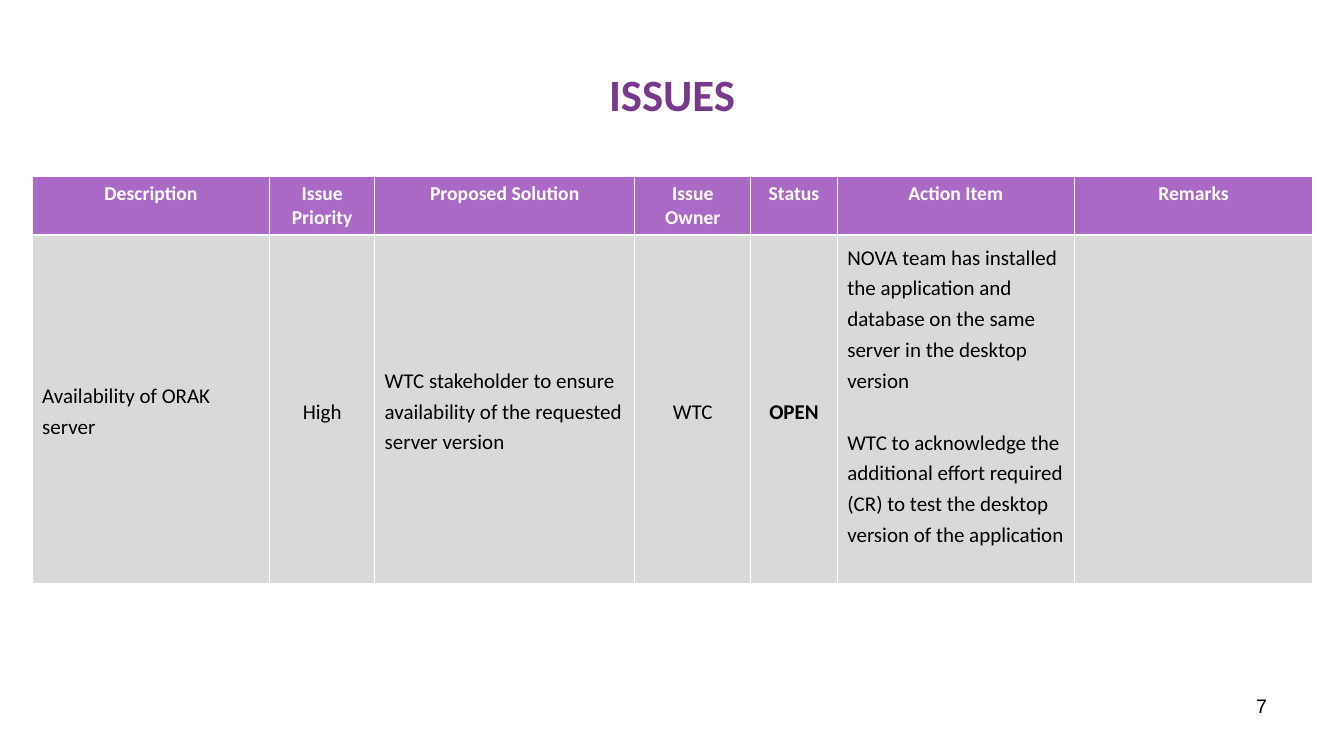
from lxml import etree
from pptx import Presentation
from pptx import util as u
from pptx.dml.color import RGBColor
from pptx.enum import text
from pptx.oxml.ns import qn

Cm, Pt = u.Cm, u.Pt
LEFT, CENTER, RIGHT = text.PP_ALIGN.LEFT, text.PP_ALIGN.CENTER, text.PP_ALIGN.RIGHT
TOP, MIDDLE = text.MSO_ANCHOR.TOP, text.MSO_ANCHOR.MIDDLE

# Content: heading, width in cm, alignment, anchor, bold, paragraphs
title = "ISSUES"
page_number = "7"
issue_fields = [
    ("Description", 5.99, LEFT, MIDDLE, False, ["Availability of ORAK server"]),
    ("Issue Priority", 2.64, CENTER, MIDDLE, False, ["High"]),
    ("Proposed Solution", 6.56, LEFT, MIDDLE, False,
     ["WTC stakeholder to ensure availability of the requested server version"]),
    ("Issue Owner", 2.92, CENTER, MIDDLE, False, ["WTC"]),
    ("Status", 2.18, CENTER, MIDDLE, True, ["OPEN"]),
    ("Action Item", 5.97, LEFT, TOP, False,
     ["NOVA team has installed the application and database on the same "
      "server in the desktop version",
      "WTC to acknowledge the additional effort required (CR) to test the "
      "desktop version of the application"]),
    ("Remarks", 6.02, LEFT, MIDDLE, False, []),
]

theme = {
    "font": "Calibri", "number_font": "Arial",
    "title": "78398D", "header": "A969C4", "body": "D9D9D9",
    "white": "FFFFFF", "black": "000000",
    "title_size": 32, "header_size": 14, "body_size": 15, "number_size": 14,
    "line_spacing": 1.2, "paragraph_gap": 22,
}


def write(frame, paragraphs, size, color, align, bold=False, font=theme["font"],
          spacing=None):
    for i, words in enumerate(paragraphs):
        para = frame.paragraphs[0] if i == 0 else frame.add_paragraph()
        para.alignment = align
        para.line_spacing = spacing
        if i:
            para.space_before = Pt(theme["paragraph_gap"])
        run = para.add_run()
        run.text = words
        run.font.name, run.font.size, run.font.bold = font, Pt(size), bold
        run.font.color.rgb = RGBColor.from_string(color)


def label(slide, box, words, anchor, *style, **options):
    frame = slide.shapes.add_textbox(*(Cm(v) for v in box)).text_frame
    frame.word_wrap = True
    frame.vertical_anchor = anchor
    write(frame, [words], *style, **options)


def paint(cell, fill):
    props = cell._tc.get_or_add_tcPr()
    for side in ("a:lnL", "a:lnR", "a:lnT", "a:lnB"):
        line = etree.SubElement(props, qn(side), w=str(Pt(1)))
        solid = etree.SubElement(line, qn("a:solidFill"))
        etree.SubElement(solid, qn("a:srgbClr"), val=theme["white"])
    cell.fill.solid()
    cell.fill.fore_color.rgb = RGBColor.from_string(fill)


deck = Presentation()
deck.slide_width, deck.slide_height = Cm(33.87), Cm(19.05)
slide = deck.slides.add_slide(deck.slide_layouts[6])

# Title and page number
label(slide, (1.7, 0.76, 30.48, 3.18), title, MIDDLE,
      theme["title_size"], theme["title"], CENTER, bold=True)
label(slide, (24.28, 17.35, 7.9, 1.32), page_number, TOP,
      theme["number_size"], theme["black"], RIGHT, font=theme["number_font"])

# Issue table
row_heights = (1.47, 8.79)
total_width = sum(field[1] for field in issue_fields)
issues = slide.shapes.add_table(2, len(issue_fields), Cm(0.81), Cm(4.45),
                                Cm(total_width), Cm(sum(row_heights))).table
for row, height in zip(issues.rows, row_heights):
    row.height = Cm(height)
for col, (heading, width, align, anchor, bold, details) in enumerate(issue_fields):
    issues.columns[col].width = Cm(width)
    header, body = issues.cell(0, col), issues.cell(1, col)
    paint(header, theme["header"])
    paint(body, theme["body"])
    body.vertical_anchor = anchor
    write(header.text_frame, [heading], theme["header_size"], theme["white"],
          CENTER, bold=True)
    write(body.text_frame, details, theme["body_size"], theme["black"], align,
          bold=bold, spacing=theme["line_spacing"])

deck.save("out.pptx")
